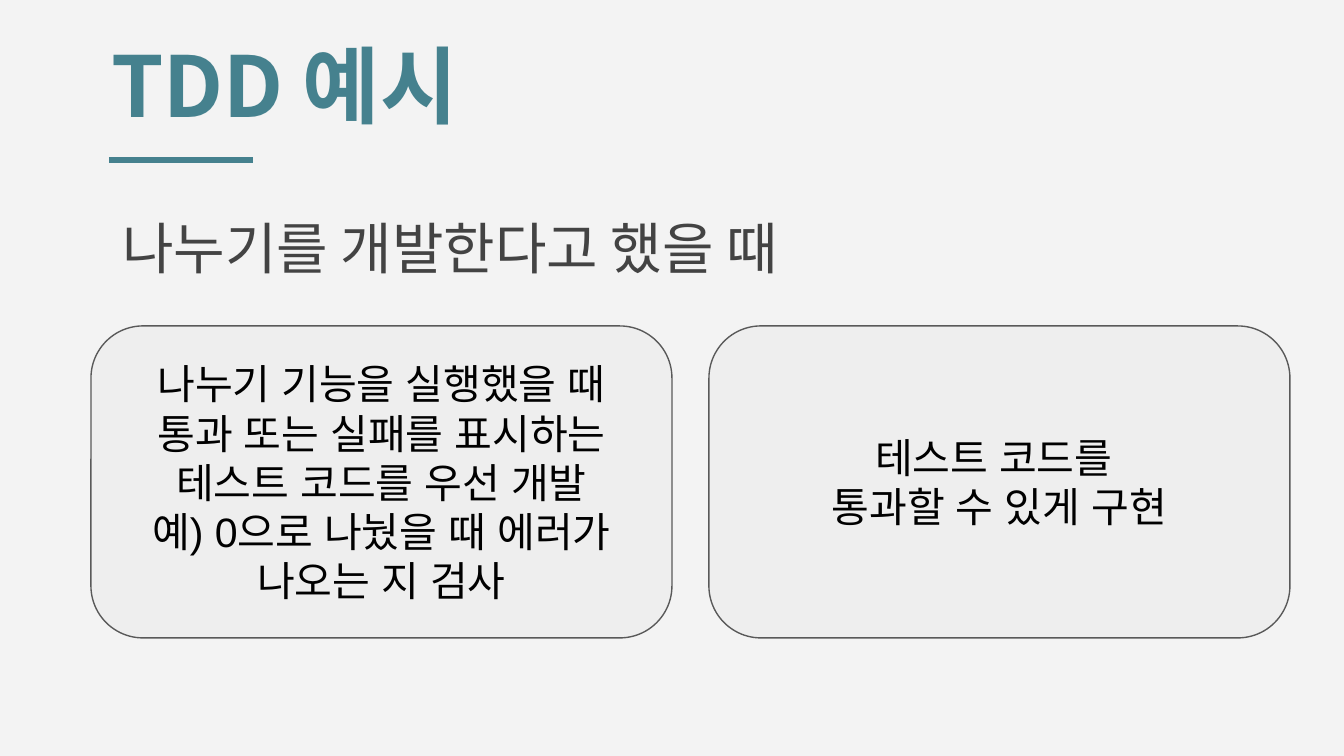
import pptx
import pptx.util
import pptx.dml.color
import pptx.enum.shapes
import pptx.enum.text
import pptx.oxml.ns
import lxml.etree

SCALE = 914400 / 134.4
KOREAN = "Noto Sans CJK KR"
TEAL = "45818E"
ANCHOR = pptx.enum.text.MSO_ANCHOR
ALIGN = pptx.enum.text.PP_ALIGN


def px(n):
    """Turn whole pixels into EMU."""
    return pptx.util.Emu(round(n * SCALE))


def rgb(value):
    """Turn a hex string into a colour."""
    return pptx.dml.color.RGBColor.from_string(value)


def apply(target, values):
    """Set attributes from a dict of format values."""
    for name, value in values.items():
        setattr(target, name, value)


def write(shape, lines, font, color, anchor=ANCHOR.TOP, para=None):
    """Fill a shape with one paragraph per line."""
    tf = shape.text_frame
    margins = dict.fromkeys(
        ("margin_left", "margin_top", "margin_right", "margin_bottom"),
        pptx.util.Inches(0.1))
    apply(tf, {"word_wrap": True, "vertical_anchor": anchor, **margins})
    for i, line in enumerate(lines):
        p = tf.paragraphs[0] if i == 0 else tf.add_paragraph()
        apply(p, para or {})
        r = p.add_run()
        r.text = line
        apply(r.font, font)
        r.font.color.rgb = rgb(color)
        ea = lxml.etree.SubElement(r.font._element, pptx.oxml.ns.qn("a:ea"))
        ea.set("typeface", font["name"])


def add_text(s, box, lines, font, color, para=None):
    """Add a text box."""
    sp = s.shapes.add_textbox(*map(px, box))
    write(sp, lines, font, color, para=para)


def add_rule(s, left, right, y):
    """Add the horizontal line below the title."""
    line = s.shapes.add_connector(
        pptx.enum.shapes.MSO_CONNECTOR.STRAIGHT, *map(px, (left, y, right, y)))
    line.line.color.rgb = rgb(TEAL)
    line.line.width = pptx.util.Pt(3)
    lxml.etree.SubElement(line._element.spPr, pptx.oxml.ns.qn("a:effectLst"))


def add_card(s, box, lines):
    """Add a rounded card with centred text."""
    sp = s.shapes.add_shape(
        pptx.enum.shapes.MSO_SHAPE.ROUNDED_RECTANGLE, *map(px, box))
    sp.adjustments[0] = 0.167
    sp.shadow.inherit = False
    sp.fill.solid()
    sp.fill.fore_color.rgb = rgb("EEEEEE")
    sp.line.color.rgb = rgb("595959")
    sp.line.width = pptx.util.Pt(0.75)
    write(sp, lines, {"name": "Arial", "size": pptx.util.Pt(22)}, "000000",
          ANCHOR.MIDDLE, {"alignment": ALIGN.CENTER})


def main():
    """Build the slide and save it."""
    prs = pptx.Presentation()
    apply(prs, {"slide_width": px(1344), "slide_height": px(756)})
    s = prs.slides.add_slide(prs.slide_layouts[6])
    s.background.fill.solid()
    s.background.fill.fore_color.rgb = rgb("F3F3F3")
    add_rule(s, 109, 253, 160)
    add_text(s, (98, 20, 1008, 113), ["TDD 예시"],
             {"name": KOREAN, "size": pptx.util.Pt(45), "bold": True}, TEAL)
    add_text(s, (109, 190, 1121, 460), ["나누기를 개발한다고 했을 때"],
             {"name": KOREAN, "size": pptx.util.Pt(30)}, "434343",
             {"line_spacing": 1.15, "space_after": pptx.util.Pt(12)})
    cards = [
        ["나누기 기능을 실행했을 때 통과 또는 실패를 표시하는 테스트 코드를 우선 개발",
         "예) 0으로 나눴을 때 에러가 나오는 지 검사"],
        ["테스트 코드를 ", "통과할 수 있게 구현"],
    ]
    width, gap = 581, 37
    for i, lines in enumerate(cards):
        add_card(s, (91 + i * (width + gap), 326, width, 312), lines)
    prs.save("out.pptx")


if __name__ == "__main__":
    main()
